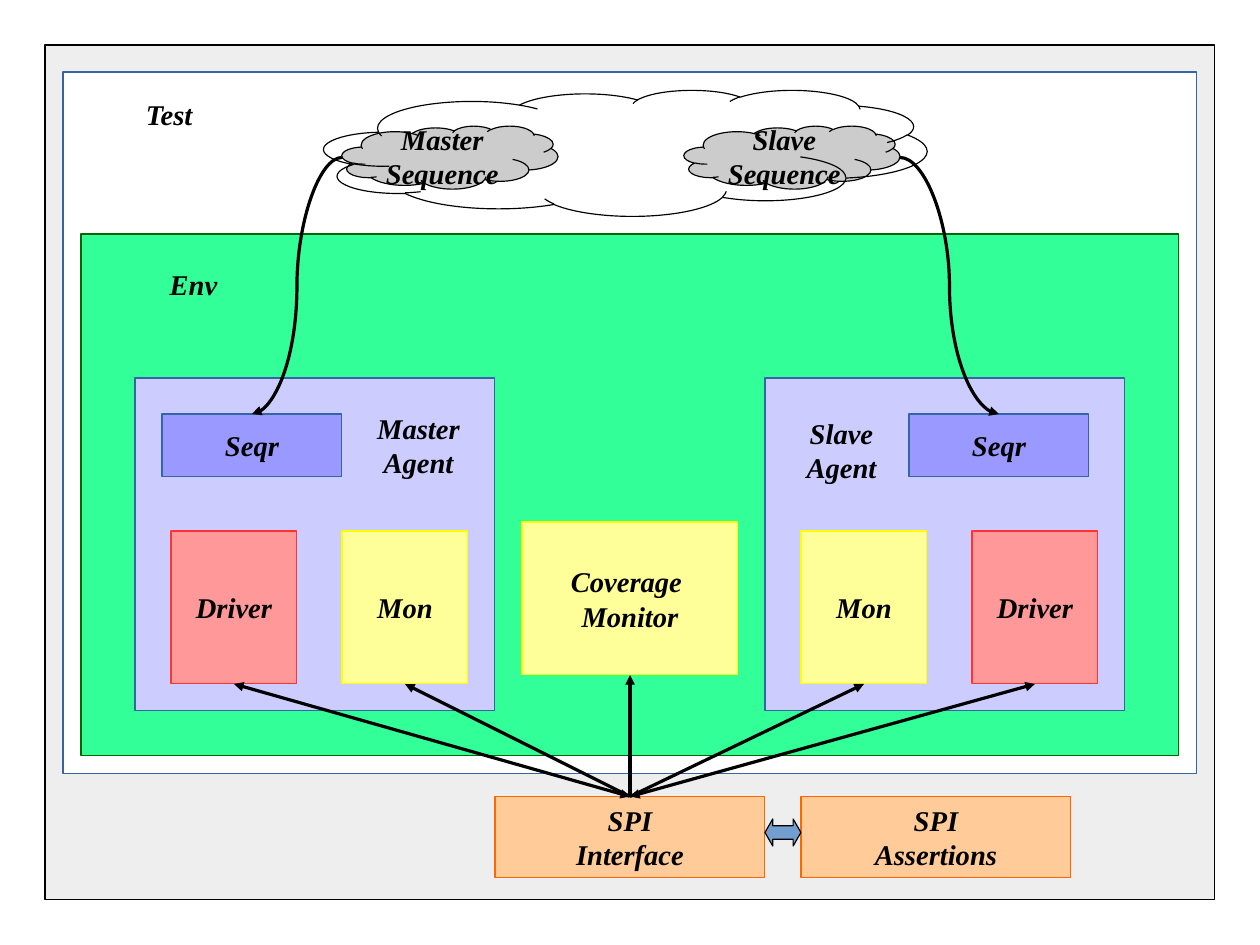
from lxml.etree import SubElement as Sub
from pptx import Presentation as Deck
from pptx.dml.color import RGBColor as Rgb
from pptx.enum.shapes import MSO_CONNECTOR as Link, MSO_SHAPE as Form
from pptx.enum.text import MSO_ANCHOR as Anchor, PP_ALIGN as Align
from pptx.oxml.ns import qn
from pptx.util import Cm, Pt


def paint(color, code):
    color.rgb = Rgb.from_string(code)


class Board:
    font = "Times New Roman"
    size = Pt(18)
    ink = "000000"
    hair = Pt(0)

    def __init__(self, slide):
        self.slide = slide

    def letter(self, frame, text, wrap):
        frame.word_wrap = wrap
        frame.text = text
        for para in frame.paragraphs:
            para.alignment = Align.CENTER
            for run in para.runs:
                run.font.name = self.font
                run.font.size = self.size
                run.font.bold = run.font.italic = True
                paint(run.font.color, self.ink)

    def stroke(self, line, code):
        line.width = self.hair
        line.fill.solid()
        paint(line.color, code)

    def shape(self, form, area, fill, line, text=""):
        item = self.slide.shapes.add_shape(form, *map(Cm, area))
        item.shadow.inherit = False
        if fill:
            item.fill.solid()
            paint(item.fill.fore_color, fill)
        else:
            item.fill.background()
        self.stroke(item.line, line)
        if text:
            item.text_frame.vertical_anchor = Anchor.MIDDLE
            self.letter(item.text_frame, text, False)
        return item

    def box(self, area, fill, line, text=""):
        return self.shape(Form.RECTANGLE, area, fill, line, text)

    def cloud(self, area, fill, text=""):
        return self.shape(Form.CLOUD, area, fill, self.ink, text)

    def label(self, area, text):
        item = self.slide.shapes.add_textbox(*map(Cm, area))
        self.letter(item.text_frame, text, True)

    def link(self, kind, start, end, heads):
        item = self.slide.shapes.add_connector(kind, *map(Cm, start + end))
        self.stroke(item.line, self.ink)
        props = item._element.spPr
        line = props.find(qn("a:ln"))
        for head in heads:
            Sub(line, qn("a:" + head), type="triangle")
        Sub(props, qn("a:effectLst"))
        return item

    def curve(self, start, end):
        self.link(Link.CURVE, start, end, ["tailEnd"])

    def join(self, first, side, last, edge, heads):
        item = self.link(Link.STRAIGHT, (0, 0), (0, 0), heads)
        item.begin_connect(first, side)
        item.end_connect(last, edge)


def main():
    deck = Deck()
    deck.slide_width, deck.slide_height = Cm(28), Cm(21)
    board = Board(deck.slides.add_slide(deck.slide_layouts[6]))

    blue, yellow, orange = "3465A4", "FFFF00", "FF6600"
    board.box((1, 1, 26, 19), "EEEEEE", board.ink)
    board.box((1.4, 1.6, 25.2, 15.6), "FFFFFF", blue)
    board.box((1.8, 5.2, 24.4, 11.6), "33FF99", "006600")
    cover = board.box((11.6, 11.6, 4.8, 3.4), "FFFF99", yellow,
                      "Coverage \nMonitor")

    drivers, mons = [], []
    agents = [
        ("Master", 3, 3.6, 3.8, 7.6, (8, 9), 7.6, 7.6),
        ("Slave", 17, 20.2, 21.6, 17.8, (17.4, 9.12), 15.2, 20),
    ]
    for name, left, seqr, driver, mon, title, cloud, tip in agents:
        board.box((left, 8.4, 8, 7.4), "CCCCFF", blue)
        drivers.append(board.box((driver, 11.8, 2.8, 3.4), "FF9999",
                                 "FF3333", "Driver"))
        mons.append(board.box((mon, 11.8, 2.8, 3.4), "FFFF99", yellow, "Mon"))
        board.box((seqr, 9.2, 4, 1.4), "9999FF", blue, "Seqr")
        board.label((*title, 2.6, 1.65), f"{name} Agent")
        board.cloud((cloud, 2.8, 4.8, 1.4), "CCCCCC", f"{name}\nSequence")
        board.curve((tip, 3.5), (seqr + 2, 9.2))

    board.label((3, 5.8, 2.6, 0.96), "Env")
    board.label((2.46, 2.04, 2.6, 0.96), "Test")

    port, _ = [board.box((left, 17.7, 6, 1.8), "FFCC99", orange, f"SPI\n{name}")
               for left, name in ((11, "Interface"), (17.8, "Assertions"))]
    both = ["headEnd", "tailEnd"]
    board.join(drivers[0], 2, port, 0, both)
    board.join(port, 0, drivers[1], 2, both)
    for target in (mons[0], cover, mons[1]):
        board.join(port, 0, target, 2, ["tailEnd"])

    arrow = board.shape(Form.LEFT_RIGHT_ARROW, (17, 18.2, 0.8, 0.6),
                        "729FCF", board.ink)
    arrow.adjustments[0] = 0.5
    arrow.adjustments[1] = 0.29
    board.cloud((7.2, 2, 13.4, 2.8), None)
    deck.save("out.pptx")


if __name__ == "__main__":
    main()
